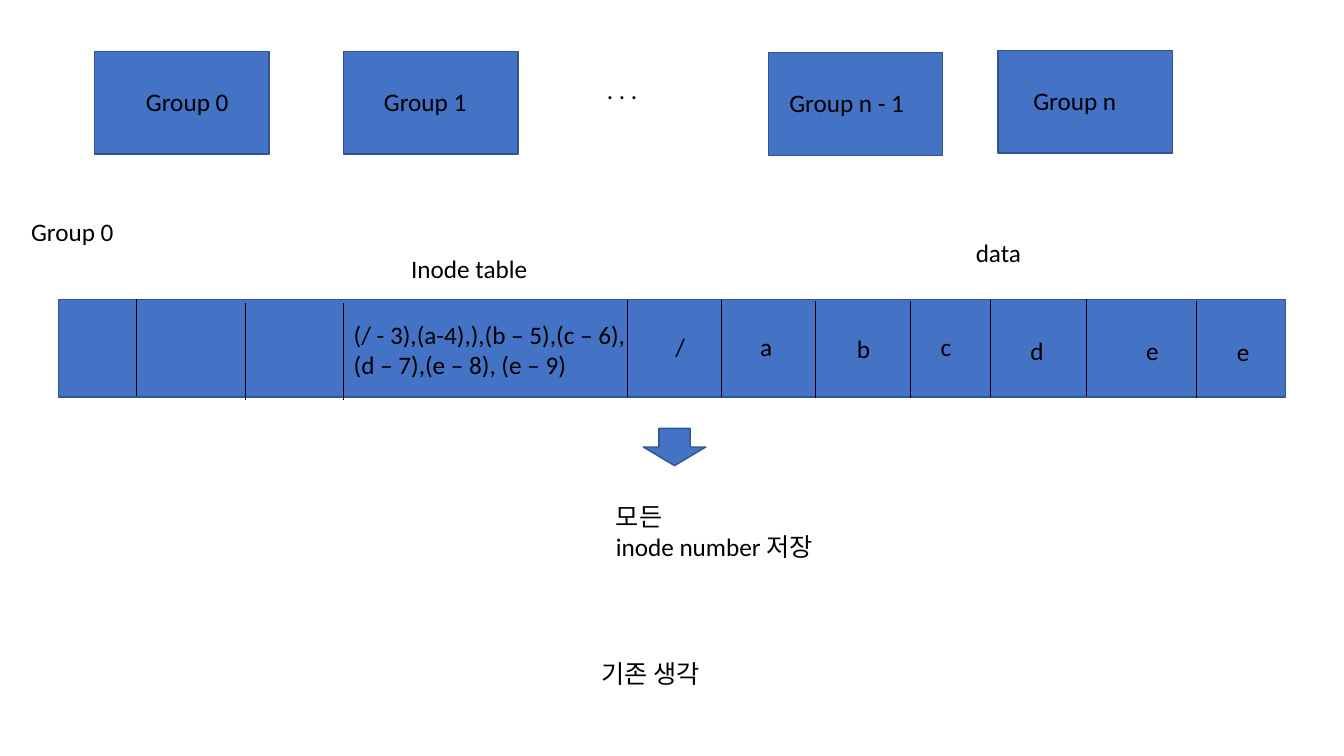
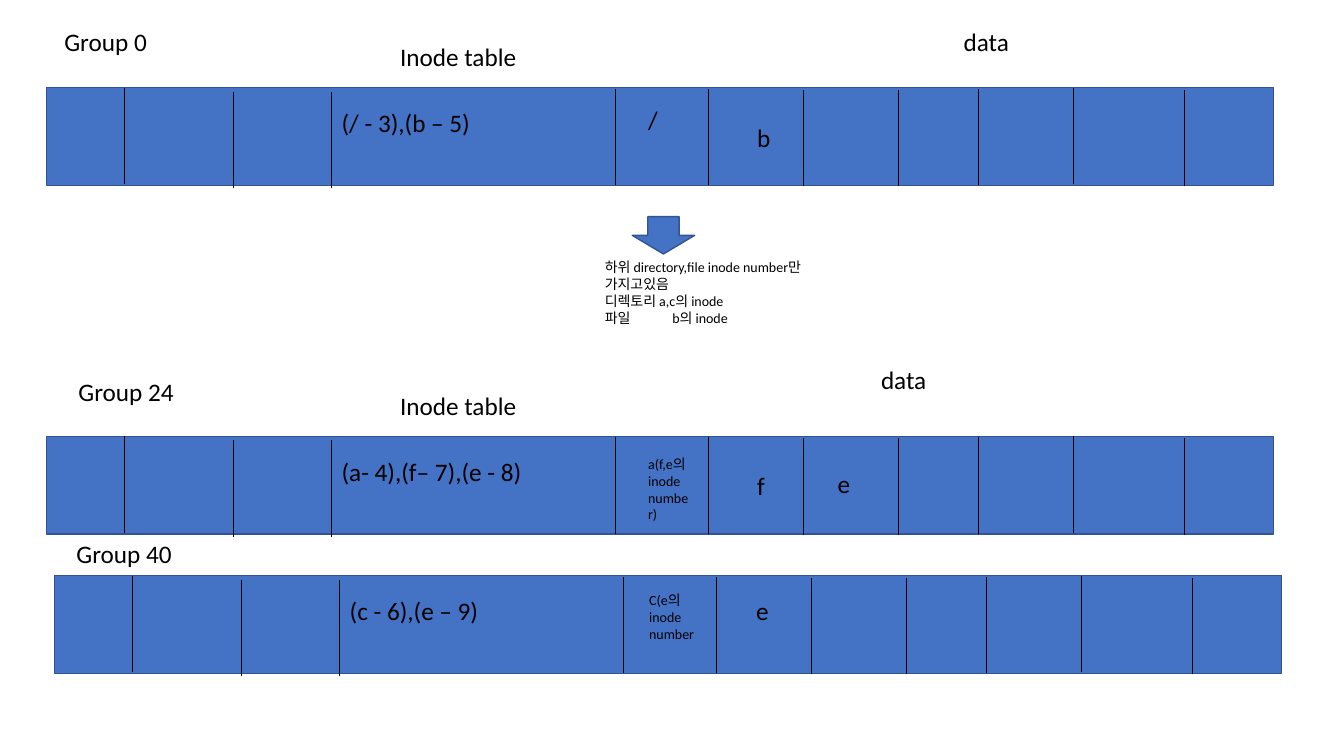
import pptx
import pptx.dml.color
import pptx.enum.shapes
import pptx.enum.text
import pptx.oxml.ns
import pptx.util
from lxml import etree
from pptx.util import Inches

BLUE = pptx.dml.color.RGBColor(0x44, 0x72, 0xC4)
DARK_BLUE = pptx.dml.color.RGBColor(0x32, 0x54, 0x91)
BLACK = pptx.dml.color.RGBColor(0, 0, 0)
FONT = "Calibri"
BODY_SIZE = 18
NOTE_SIZE = 10

ROW_WIDTH = 12.17
ROW_HEIGHT = 0.97
DIVIDER_LENGTH = 0.96
# Offset from the left of the row, and drop below its top
DIVIDERS = [
    (0.77, 0), (1.85, 0.04), (2.83, 0.04), (5.64, 0.01), (6.57, 0.01),
    (7.51, 0.02), (8.45, 0.02), (9.24, 0.01), (10.19, 0), (11.29, 0.02),
]
INODE_OFFSET = 2.83
INODE_WIDTH = 2.96
CELL_WIDTH = 0.62
HEADING_WIDTH = 1.94
GROUP_WIDTH = 3.54

RECTANGLE = pptx.enum.shapes.MSO_SHAPE.RECTANGLE
DOWN_ARROW = pptx.enum.shapes.MSO_SHAPE.DOWN_ARROW


def add_block(slide, kind, left, top, width, height):
    """Add a blue preset shape with a dark blue outline."""
    block = slide.shapes.add_shape(
        kind, Inches(left), Inches(top), Inches(width), Inches(height))
    block.shadow.inherit = False
    block.fill.solid()
    block.fill.fore_color.rgb = BLUE
    block.line.color.rgb = DARK_BLUE
    block.line.width = pptx.util.Pt(1)


def add_label(slide, text, left, top, width, height=0.4, size=BODY_SIZE):
    """Add a wrapping black text box, one paragraph a line of text."""
    box = slide.shapes.add_textbox(
        Inches(left), Inches(top), Inches(width), Inches(height))
    frame = box.text_frame
    frame.word_wrap = True
    frame.auto_size = pptx.enum.text.MSO_AUTO_SIZE.SHAPE_TO_FIT_TEXT
    frame.text = text
    for para in frame.paragraphs:
        para.font.name = FONT
        para.font.size = pptx.util.Pt(size)
        para.font.color.rgb = BLACK
    return box


def set_tab_stop(para, position):
    """Give a paragraph one left tab stop, in inches from the text edge."""
    properties = para.font._element.getparent()
    stops = etree.Element(pptx.oxml.ns.qn("a:tabLst"))
    etree.SubElement(stops, pptx.oxml.ns.qn("a:tab"),
                     pos=str(Inches(position)), algn="l")
    properties.insert(0, stops)


def add_divider(slide, left, top):
    """Add a thin vertical line between two cells."""
    line = slide.shapes.add_connector(
        pptx.enum.shapes.MSO_CONNECTOR.STRAIGHT,
        Inches(left), Inches(top + DIVIDER_LENGTH), Inches(left), Inches(top))
    line.line.color.rgb = BLACK
    line.line.width = pptx.util.Pt(0.5)
    etree.SubElement(line._element.spPr, pptx.oxml.ns.qn("a:effectLst"))


def add_group_row(slide, left, top, inodes, inode_height=0.4):
    """Add the cells of one block group and its inode table entries."""
    add_block(slide, RECTANGLE, left, top, ROW_WIDTH, ROW_HEIGHT)
    for offset, drop in DIVIDERS:
        add_divider(slide, left + offset, top + drop)
    add_label(slide, inodes, left + INODE_OFFSET, top + 0.15, INODE_WIDTH,
              inode_height)


def add_cells(slide, cells):
    """Add the one-letter contents of data cells."""
    for text, left, top in cells:
        add_label(slide, text, left, top, CELL_WIDTH)


def add_headings(slide, headings):
    """Add the headings above the parts of a row."""
    for text, left, top in headings:
        add_label(slide, text, left, top, HEADING_WIDTH)


def add_group_names(slide, names):
    """Add the names of the block groups."""
    for text, left, top in names:
        add_label(slide, text, left, top, GROUP_WIDTH, 0.4)


def add_down_arrow(slide, left, top):
    """Add the arrow that leads from a row to its note."""
    add_block(slide, DOWN_ARROW, left, top, 0.62, 0.37)


def build_single_group(slide):
    """Show every inode stored in group 0."""
    groups = [
        ("Group 0", 0.94, 0.51, 1.35), ("Group 1", 3.41, 0.51, 3.71),
        ("Group n - 1", 7.62, 0.52, 7.73), ("Group n", 9.9, 0.5, 10.15),
    ]
    for name, left, top, text_left in groups:
        add_block(slide, RECTANGLE, left, top, 1.73, 1.02)
        add_label(slide, name, text_left, top + 0.3, 1.5)
    add_label(slide, ". . .", 5.92, 0.69, 1.6)

    add_group_names(slide, [("Group 0", 0.21, 2.1)])
    add_headings(slide, [("Inode table", 3.98, 2.46), ("data", 9.58, 2.31)])
    add_group_row(
        slide, 0.58, 2.97,
        "(/ - 3),(a-4),),(b – 5),(c – 6),(d – 7),(e – 8), (e – 9)", 0.71)
    add_cells(slide, [
        ("/", 6.6, 3.24), ("a", 7.44, 3.24), ("b", 8.4, 3.26),
        ("c", 9.23, 3.24), ("d", 10.12, 3.28), ("e", 11.27, 3.28),
        ("e", 12.17, 3.29),
    ])
    add_down_arrow(slide, 6.38, 4.25)
    add_label(slide, "모든\ninode number 저장", 6.01, 4.92, 2.6, 0.71)
    add_label(slide, "기존 생각", 5.87, 6.48, 7.4)


def build_spread_groups(slide):
    """Show the inodes spread over three groups."""
    add_group_row(slide, 0.46, 0.87, "(/ - 3),(b – 5)")
    add_group_row(slide, 0.46, 4.33, "(a- 4),(f– 7),(e - 8)")
    add_group_row(slide, 0.54, 5.71, "(c - 6),(e – 9)")
    add_group_names(slide, [
        ("Group 0", 0.54, 0.21), ("Group 24", 0.68, 3.68),
        ("Group 40", 0.66, 5.29),
    ])
    add_headings(slide, [
        ("Inode table", 3.87, 0.36), ("data", 9.46, 0.21),
        ("Inode table", 3.87, 3.82), ("data", 8.64, 3.57),
    ])
    add_cells(slide, [
        ("/", 6.33, 0.99), ("b", 7.41, 1.16), ("f", 7.41, 4.62),
        ("e", 8.21, 4.6), ("e", 7.4, 5.86),
    ])
    add_label(slide, "a(f,e의 inode number)", 6.33, 4.47, CELL_WIDTH, 0.77,
              NOTE_SIZE)
    add_label(slide, "C(e의 inode number", 6.34, 5.82, 0.84, 0.61, NOTE_SIZE)

    add_down_arrow(slide, 6.27, 2.15)
    note = add_label(
        slide,
        "하위 directory,file inode number만 가지고있음\n"
        "디렉토리 a,c의 inode\n"
        "파일\tb의 inode",
        5.9, 2.52, 2.6, 0.77, NOTE_SIZE)
    set_tab_stop(note.text_frame.paragraphs[-1], 0.67)


def main():
    """Build the deck and save it."""
    deck = pptx.Presentation()
    deck.slide_width = Inches(13.33)
    deck.slide_height = Inches(7.5)
    blank = deck.slide_layouts.get_by_name("Blank")
    for build in (build_single_group, build_spread_groups):
        build(deck.slides.add_slide(blank))
    deck.save("out.pptx")


main()
